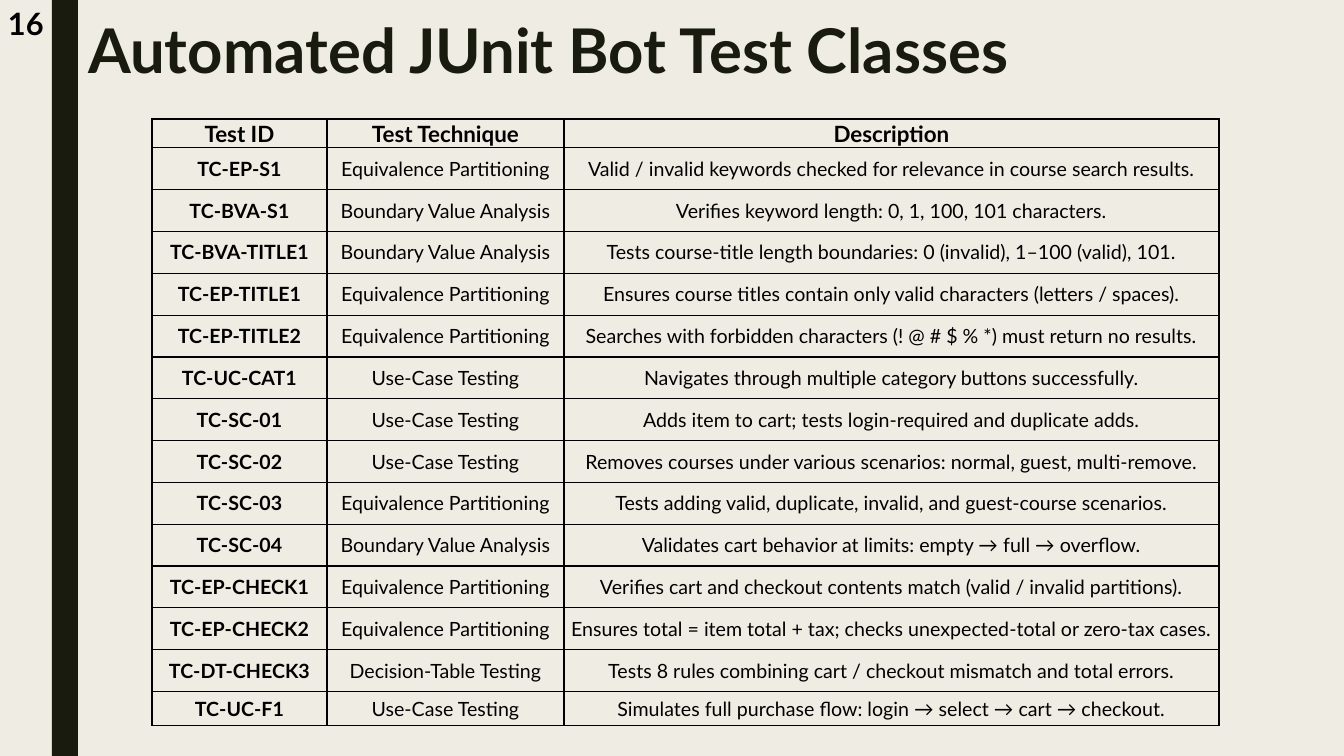
from lxml import etree
from pptx import Presentation
from pptx import util as u
from pptx.dml.color import RGBColor
from pptx.enum import shapes, text
from pptx.oxml import ns

PAPER = RGBColor(0xEF, 0xED, 0xE3)
DARK = RGBColor(0x19, 0x1B, 0x0E)
BLACK = RGBColor(0x00, 0x00, 0x00)
FONT = "Lato"
PX_PER_INCH = 100.8

EP = "Equivalence Partitioning"
BVA = "Boundary Value Analysis"
UC = "Use-Case Testing"
HEADINGS = ("Test ID", "Test Technique", "Description")
TEST_CASES = [
    ("TC-EP-S1", EP, "Valid / invalid keywords checked for relevance in course search results."),
    ("TC-BVA-S1", BVA, "Verifies keyword length: 0, 1, 100, 101 characters."),
    ("TC-BVA-TITLE1", BVA, "Tests course-title length boundaries: 0 (invalid), 1–100 (valid), 101."),
    ("TC-EP-TITLE1", EP, "Ensures course titles contain only valid characters (letters / spaces)."),
    ("TC-EP-TITLE2", EP, "Searches with forbidden characters (! @ # $ % *) must return no results."),
    ("TC-UC-CAT1", UC, "Navigates through multiple category buttons successfully."),
    ("TC-SC-01", UC, "Adds item to cart; tests login-required and duplicate adds."),
    ("TC-SC-02", UC, "Removes courses under various scenarios: normal, guest, multi-remove."),
    ("TC-SC-03", EP, "Tests adding valid, duplicate, invalid, and guest-course scenarios."),
    ("TC-SC-04", BVA, "Validates cart behavior at limits: empty → full → overflow."),
    ("TC-EP-CHECK1", EP, "Verifies cart and checkout contents match (valid / invalid partitions)."),
    ("TC-EP-CHECK2", EP, "Ensures total = item total + tax; checks unexpected-total or zero-tax cases."),
    ("TC-DT-CHECK3", "Decision-Table Testing", "Tests 8 rules combining cart / checkout mismatch and total errors."),
    ("TC-UC-F1", UC, "Simulates full purchase flow: login → select → cart → checkout."),
]


def px(length):
    return u.Emu(round(length * 914400 / PX_PER_INCH))


def add_run(paragraph, wording, size, color, bold):
    run = paragraph.add_run()
    run.text = wording
    run.font.name = FONT
    run.font.size = u.Pt(size)
    run.font.bold = bold
    run.font.color.rgb = color


def add_sidebar(slide, box):
    sidebar = slide.shapes.add_shape(shapes.MSO_SHAPE.RECTANGLE, *map(px, box))
    sidebar.shadow.inherit = False
    sidebar.fill.solid()
    sidebar.fill.fore_color.rgb = DARK
    sidebar.line.fill.background()


def add_page_number(slide, box, number):
    page_number = slide.shapes.add_textbox(*map(px, box))
    frame = page_number.text_frame
    frame.word_wrap = True
    frame.auto_size = text.MSO_AUTO_SIZE.SHAPE_TO_FIT_TEXT
    add_run(frame.paragraphs[0], number, 22, BLACK, True)


def format_title(slide, box, wording):
    title = slide.shapes.title
    title.left, title.top, title.width, title.height = map(px, box)
    frame = title.text_frame
    frame.word_wrap = True
    frame.auto_size = text.MSO_AUTO_SIZE.NONE
    frame.vertical_anchor = text.MSO_ANCHOR.TOP
    heading = frame.paragraphs[0]
    heading.alignment = text.PP_ALIGN.LEFT
    heading.line_spacing = 0.89
    add_run(heading, wording, 44, DARK, True)


def add_borders(cell):
    properties = cell._tc.get_or_add_tcPr()
    for position, side in enumerate(("a:lnL", "a:lnR", "a:lnT", "a:lnB")):
        border = etree.Element(ns.qn(side), w=str(u.Pt(1)))
        fill = etree.SubElement(border, ns.qn("a:solidFill"))
        etree.SubElement(fill, ns.qn("a:srgbClr"), val=str(BLACK))
        properties.insert(position, border)


def fill_cell(cell, wording, size, bold):
    cell.fill.background()
    cell.vertical_anchor = text.MSO_ANCHOR.MIDDLE
    cell.margin_left = cell.margin_right = px(3)
    cell.margin_top = cell.margin_bottom = px(1)
    paragraph = cell.text_frame.paragraphs[0]
    paragraph.alignment = text.PP_ALIGN.CENTER
    add_run(paragraph, wording, size, BLACK, bold)
    add_borders(cell)


def add_test_table(slide, box):
    left, top, width, height = box
    rows = [HEADINGS] + TEST_CASES
    table = slide.shapes.add_table(len(rows), len(HEADINGS), *map(px, box)).table
    table.horz_banding = False

    id_width, technique_width = 175, 237
    widths = (id_width, technique_width, width - id_width - technique_width)
    for column, column_width in zip(table.columns, widths):
        column.width = px(column_width)

    header_height, last_height = 28, 34
    middle_count = len(TEST_CASES) - 1
    middle_height = (height - header_height - last_height) / middle_count
    heights = [header_height] + [middle_height] * middle_count + [last_height]
    for row, row_height in zip(table.rows, heights):
        row.height = px(row_height)

    for r, wordings in enumerate(rows):
        for c, wording in enumerate(wordings):
            is_header = r == 0
            fill_cell(table.cell(r, c), wording, 16 if is_header else 14, is_header or c == 0)


def build_test_classes_slide(deck):
    slide = deck.slides.add_slide(deck.slide_layouts[5])
    slide.background.fill.solid()
    slide.background.fill.fore_color.rgb = PAPER
    add_sidebar(slide, (52, 0, 26, 756))
    format_title(slide, (78, 16, 1058, 87), "Automated JUnit Bot Test Classes")
    add_test_table(slide, (152, 119, 1067, 606))
    add_page_number(slide, (-2, 0, 69, 47), "16")


def main():
    deck = Presentation()
    deck.slide_width = px(1344)
    deck.slide_height = px(756)
    build_test_classes_slide(deck)
    deck.save("out.pptx")


if __name__ == "__main__":
    main()
